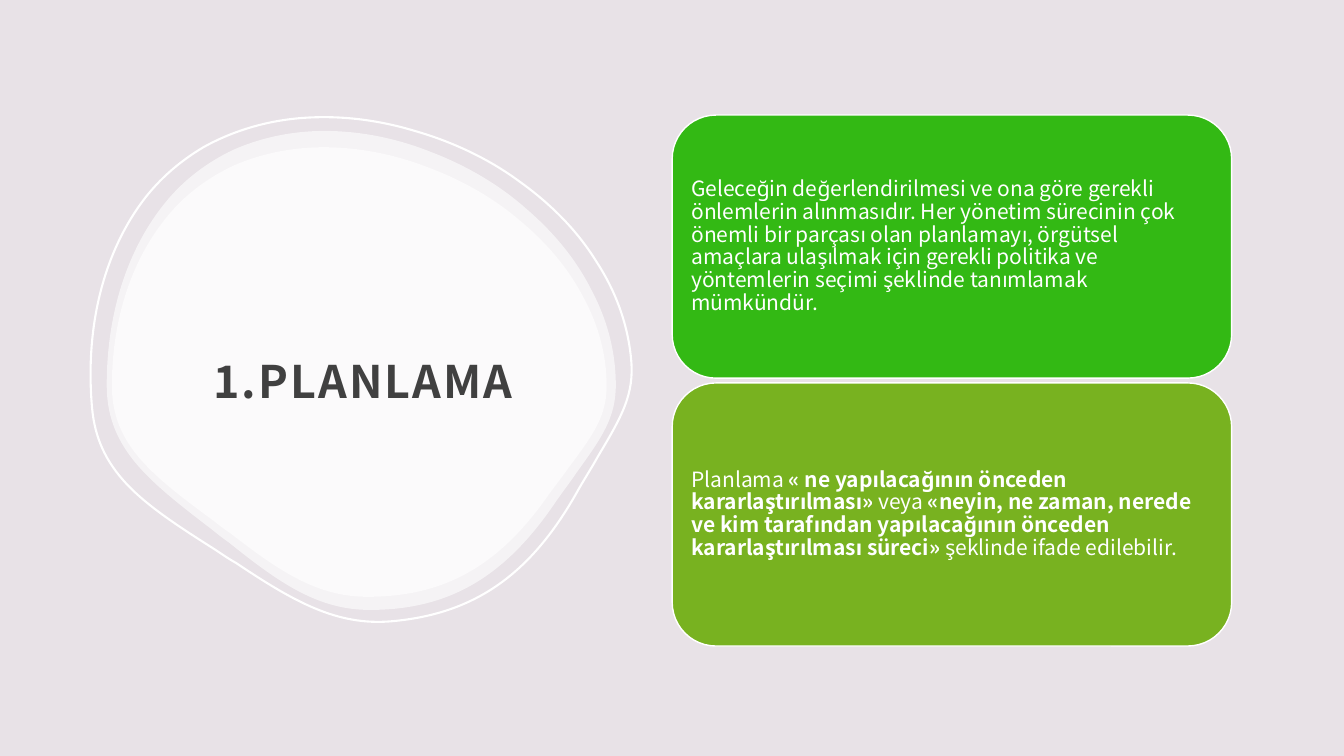
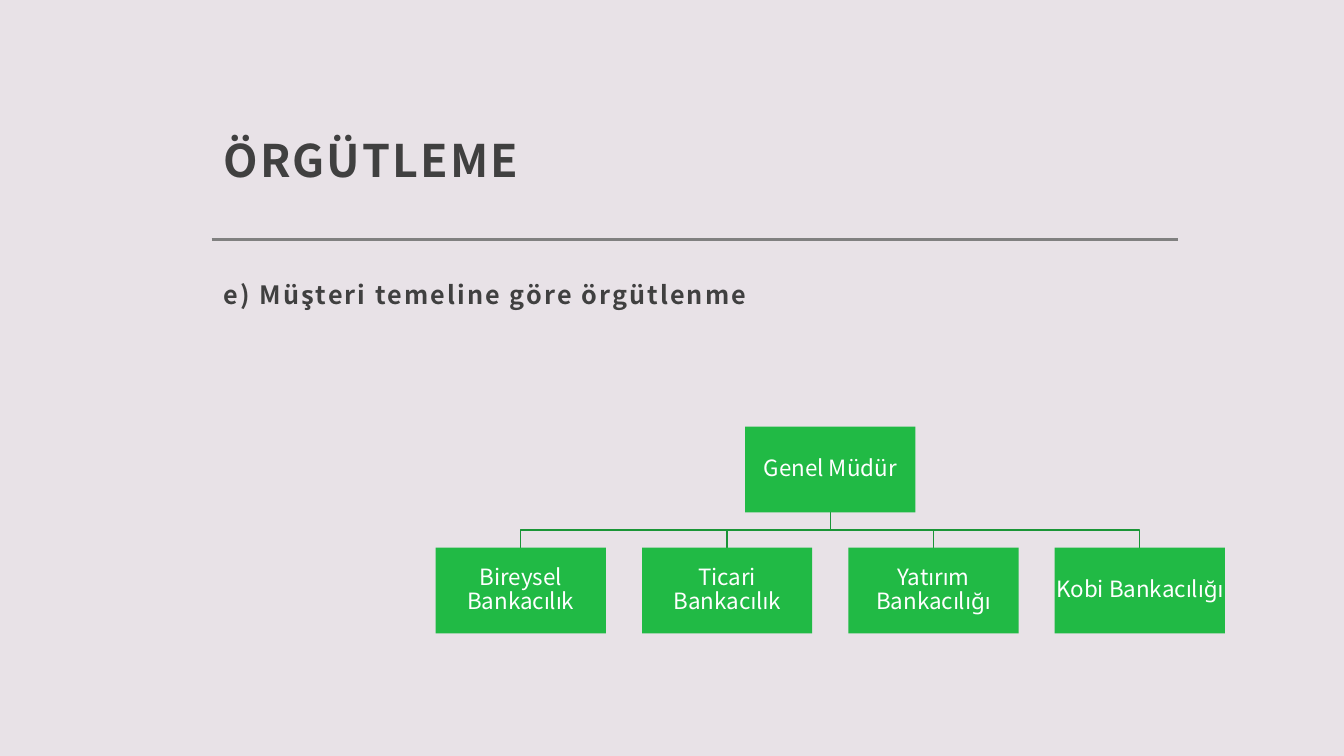
from dataclasses import dataclass
from typing import Any, NamedTuple, Sequence

from lxml.etree import SubElement
from pptx import Presentation
from pptx.dml.color import RGBColor
from pptx.enum.shapes import MSO_CONNECTOR, MSO_SHAPE
from pptx.enum.text import MSO_ANCHOR, MSO_AUTO_SIZE, PP_ALIGN
from pptx.oxml.ns import qn
from pptx.shapes.autoshape import Shape
from pptx.slide import Slide
from pptx.util import Cm, Pt


@dataclass(frozen=True)
class Theme:
    """Colours, font and type sizes of the deck."""

    font: str = "Noto Sans CJK JP"
    backdrop: str = "E8E2E7"
    white: str = "FFFFFF"
    ink: str = "404040"
    rule: str = "808080"
    unit: str = "21BA45"
    branch: str = "1A9537"
    card_fills: tuple[str, str] = ("33B914", "78B220")
    title_size: float = 32
    subtitle_size: float = 18
    card_size: float = 15
    unit_size: float = 16


class Box(NamedTuple):
    """Left, top, width and height in centimetres."""

    left: float
    top: float
    width: float
    height: float

    def lengths(self) -> tuple[Cm, ...]:
        """Return the four values as lengths."""
        return tuple(Cm(value) for value in self)


class Span(NamedTuple):
    """A stretch of text with its weight."""

    text: str
    bold: bool = False


class TextStyle(NamedTuple):
    """How a block of text is set."""

    size: float
    color: str
    line_spacing: float
    insets: tuple[float, float, float, float]
    anchor: MSO_ANCHOR = MSO_ANCHOR.MIDDLE
    alignment: PP_ALIGN = PP_ALIGN.LEFT
    tracking: int = 0


class Blob(NamedTuple):
    """A rounded blot, either filled or outlined."""

    box: Box
    filled: bool
    rotation: float = 0


Point = tuple[float, float]

THEME = Theme()
PAGE_INSETS = (0.3, 0.3, 0.3, 0.25)
TITLE_STYLE = TextStyle(THEME.title_size, THEME.ink, 1.3, PAGE_INSETS, tracking=150)
TOP_TITLE_STYLE = TITLE_STYLE._replace(anchor=MSO_ANCHOR.BOTTOM)
SUBTITLE_STYLE = TITLE_STYLE._replace(
    size=THEME.subtitle_size, line_spacing=1.4, anchor=MSO_ANCHOR.TOP
)
CARD_STYLE = TextStyle(THEME.card_size, THEME.white, 0.9, (0.16,) * 4)
UNIT_STYLE = TextStyle(
    THEME.unit_size, THEME.white, 0.9, (0.02,) * 4, alignment=PP_ALIGN.CENTER
)

BLOB_SIZE = (505, 475)
BLOB_START = (216, 0)
BLOB_CURVES = (
    ((183, 0), (152, 7), (125, 19)),
    ((100, 31), (77, 48), (59, 70)),
    ((21, 116), (0, 180), (0, 252)),
    ((0, 280), (8, 303), (26, 326)),
    ((45, 350), (74, 372), (104, 395)),
    ((109, 399), (115, 404), (121, 408)),
    ((172, 449), (210, 475), (261, 475)),
    ((339, 475), (395, 443), (446, 367)),
    ((453, 357), (460, 348), (466, 339)),
    ((492, 303), (505, 284), (505, 252)),
    ((505, 220), (497, 188), (481, 158)),
    ((466, 128), (444, 101), (416, 77)),
    ((389, 53), (356, 34), (322, 21)),
    ((287, 7), (251, 0), (216, 0)),
)
BLOBS = (
    Blob(Box(2.69, 3.3, 12.83, 12.07), True),
    Blob(Box(2.82, 3.71, 12.47, 11.33), True),
    Blob(Box(2.26, 2.87, 13.64, 12.83), False, 355),
)

CARD_BOX = Box(16.94, 2.9, 14.1, 6.63)
CARD_PITCH = 6.75
CARD_TEXTS = (
    (
        Span(
            "Geleceğin değerlendirilmesi ve ona göre gerekli önlemlerin "
            "alınmasıdır. Her yönetim sürecinin çok önemli bir parçası olan "
            "planlamayı, örgütsel amaçlara ulaşılmak için gerekli politika ve "
            "yöntemlerin seçimi şeklinde tanımlamak mümkündür."
        ),
    ),
    (
        Span("Planlama "),
        Span("« ne yapılacağının önceden kararlaştırılması» ", True),
        Span("veya "),
        Span(
            "«neyin, ne zaman, nerede ve kim tarafından yapılacağının önceden "
            "kararlaştırılması süreci» ",
            True,
        ),
        Span("şeklinde ifade edilebilir."),
    ),
)

DEPARTMENTS = (
    "Bireysel Bankacılık",
    "Ticari Bankacılık",
    "Yatırım Bankacılığı",
    "Kobi Bankacılığı",
)
DEPARTMENT_BOX = Box(10.98, 13.8, 4.29, 2.16)
DEPARTMENT_PITCH = 5.2
MANAGER_TOP = 10.75


def apply_format(target: Any, values: dict[str, Any]) -> None:
    """Set each named attribute on the target."""
    for attribute, value in values.items():
        setattr(target, attribute, value)


def write_text(holder: Shape, spans: Sequence[Span], style: TextStyle) -> None:
    """Fill the holder with one styled paragraph."""
    frame = holder.text_frame
    sides = ("margin_left", "margin_top", "margin_right", "margin_bottom")
    apply_format(frame, dict(zip(sides, map(Cm, style.insets))))
    apply_format(
        frame,
        {
            "word_wrap": True,
            "auto_size": MSO_AUTO_SIZE.NONE,
            "vertical_anchor": style.anchor,
        },
    )
    paragraph = frame.paragraphs[0]
    apply_format(
        paragraph,
        {"alignment": style.alignment, "line_spacing": style.line_spacing},
    )
    for span in spans:
        run = paragraph.add_run()
        run.text = span.text
        apply_format(
            run.font,
            {"name": THEME.font, "size": Pt(style.size), "bold": span.bold},
        )
        run.font.color.rgb = RGBColor.from_string(style.color)
        if style.tracking:
            run.font._element.set("spc", str(style.tracking))


def place_title(slide: Slide, text: str, box: Box, style: TextStyle) -> None:
    """Move the title placeholder to the front and set its text."""
    title = slide.shapes.title
    apply_format(title, dict(zip(("left", "top", "width", "height"), box.lengths())))
    write_text(title, [Span(text, True)], style)
    slide.shapes._spTree.append(title._element)


def paint(shape: Shape, fill: str | None, line: str | None, weight: float = 1) -> None:
    """Give the shape a flat fill and outline."""
    shape.shadow.inherit = False
    for part, color in ((shape.fill, fill), (shape.line.fill, line)):
        if color is None:
            part.background()
        else:
            part.solid()
            part.fore_color.rgb = RGBColor.from_string(color)
    if line:
        shape.line.width = Pt(weight)


def add_panel(
    slide: Slide,
    outline: MSO_SHAPE,
    box: Box,
    fill: str,
    line: str | None,
    spans: Sequence[Span],
    style: TextStyle,
) -> None:
    """Draw a filled preset shape that holds text."""
    panel = slide.shapes.add_shape(outline, *box.lengths())
    paint(panel, fill, line)
    write_text(panel, spans, style)


def add_outline(slide: Slide, points: Sequence[Point], close: bool) -> Shape:
    """Draw a freeform through points given in centimetres."""
    start, *rest = [(Cm(x), Cm(y)) for x, y in points]
    builder = slide.shapes.build_freeform(*start)
    builder.add_line_segments(rest, close=close)
    return builder.convert_to_shape()


def bend(shape: Shape) -> None:
    """Turn every three segments of the freeform into one cubic curve."""
    outline = shape._element.find(f".//{qn('a:path')}")
    knots = outline.findall(qn("a:lnTo"))
    for first in range(0, len(knots), 3):
        curve = outline.makeelement(qn("a:cubicBezTo"))
        knots[first].addprevious(curve)
        for knot in knots[first : first + 3]:
            curve.append(knot[0])
            outline.remove(knot)


def add_blob(slide: Slide, blob: Blob) -> None:
    """Draw one blob as a translucent fill or as an outline."""
    box = blob.box
    knots = [BLOB_START, *(point for curve in BLOB_CURVES for point in curve)]
    points = [
        (
            box.left + x / BLOB_SIZE[0] * box.width,
            box.top + y / BLOB_SIZE[1] * box.height,
        )
        for x, y in knots
    ]
    shape = add_outline(slide, points, True)
    bend(shape)
    shape.rotation = blob.rotation
    if blob.filled:
        paint(shape, THEME.white, None)
        tint = shape._element.spPr.find(f"{qn('a:solidFill')}/{qn('a:srgbClr')}")
        SubElement(tint, qn("a:alpha"), val="60000")
    else:
        paint(shape, None, THEME.white, 1.5)


def build_planning(slide: Slide) -> None:
    """Build the planning slide."""
    for blob in BLOBS:
        add_blob(slide, blob)
    place_title(slide, "1.PLANLAMA", Box(5.08, 5.28, 9.19, 8.15), TITLE_STYLE)
    for row, (fill, spans) in enumerate(zip(THEME.card_fills, CARD_TEXTS)):
        box = CARD_BOX._replace(top=CARD_BOX.top + row * CARD_PITCH)
        add_panel(
            slide, MSO_SHAPE.ROUNDED_RECTANGLE, box, fill, THEME.white, spans, CARD_STYLE
        )


def build_organisation(slide: Slide) -> None:
    """Build the organisation slide."""
    divider = slide.shapes.add_connector(
        MSO_CONNECTOR.STRAIGHT, *map(Cm, (5.33, 6.04, 29.69, 6.04))
    )
    divider.line.color.rgb = RGBColor.from_string(THEME.rule)
    divider.line.width = Pt(2)
    SubElement(divider._element.spPr, qn("a:effectLst"))
    place_title(slide, "ÖRGÜTLEME", Box(5.33, 1.22, 24.36, 3.73), TOP_TITLE_STYLE)
    subtitle = slide.shapes.add_textbox(*Box(5.33, 6.43, 24.36, 10.13).lengths())
    write_text(
        subtitle, [Span("e) Müşteri temeline göre örgütlenme", True)], SUBTITLE_STYLE
    )
    first, top, width, height = DEPARTMENT_BOX
    lefts = [first + column * DEPARTMENT_PITCH for column in range(len(DEPARTMENTS))]
    manager_left = (lefts[0] + lefts[-1]) / 2
    middle = manager_left + width / 2
    manager_bottom = MANAGER_TOP + height
    bus = (manager_bottom + top) / 2
    for left in reversed(lefts):
        centre = left + width / 2
        turns = [(middle, manager_bottom), (middle, bus), (centre, bus), (centre, top)]
        paint(add_outline(slide, turns, False), None, THEME.branch)
    units = [("Genel Müdür", Box(manager_left, MANAGER_TOP, width, height))]
    units += [
        (name, DEPARTMENT_BOX._replace(left=left))
        for name, left in zip(DEPARTMENTS, lefts)
    ]
    for name, box in units:
        add_panel(
            slide, MSO_SHAPE.RECTANGLE, box, THEME.unit, None, [Span(name)], UNIT_STYLE
        )


def main() -> None:
    """Build and save the deck."""
    deck = Presentation()
    apply_format(deck, {"slide_width": Cm(33.87), "slide_height": Cm(19.05)})
    backdrop = deck.slide_master.background.fill
    backdrop.solid()
    backdrop.fore_color.rgb = RGBColor.from_string(THEME.backdrop)
    for build in (build_planning, build_organisation):
        build(deck.slides.add_slide(deck.slide_layouts[5]))
    deck.save("out.pptx")


if __name__ == "__main__":
    main()
